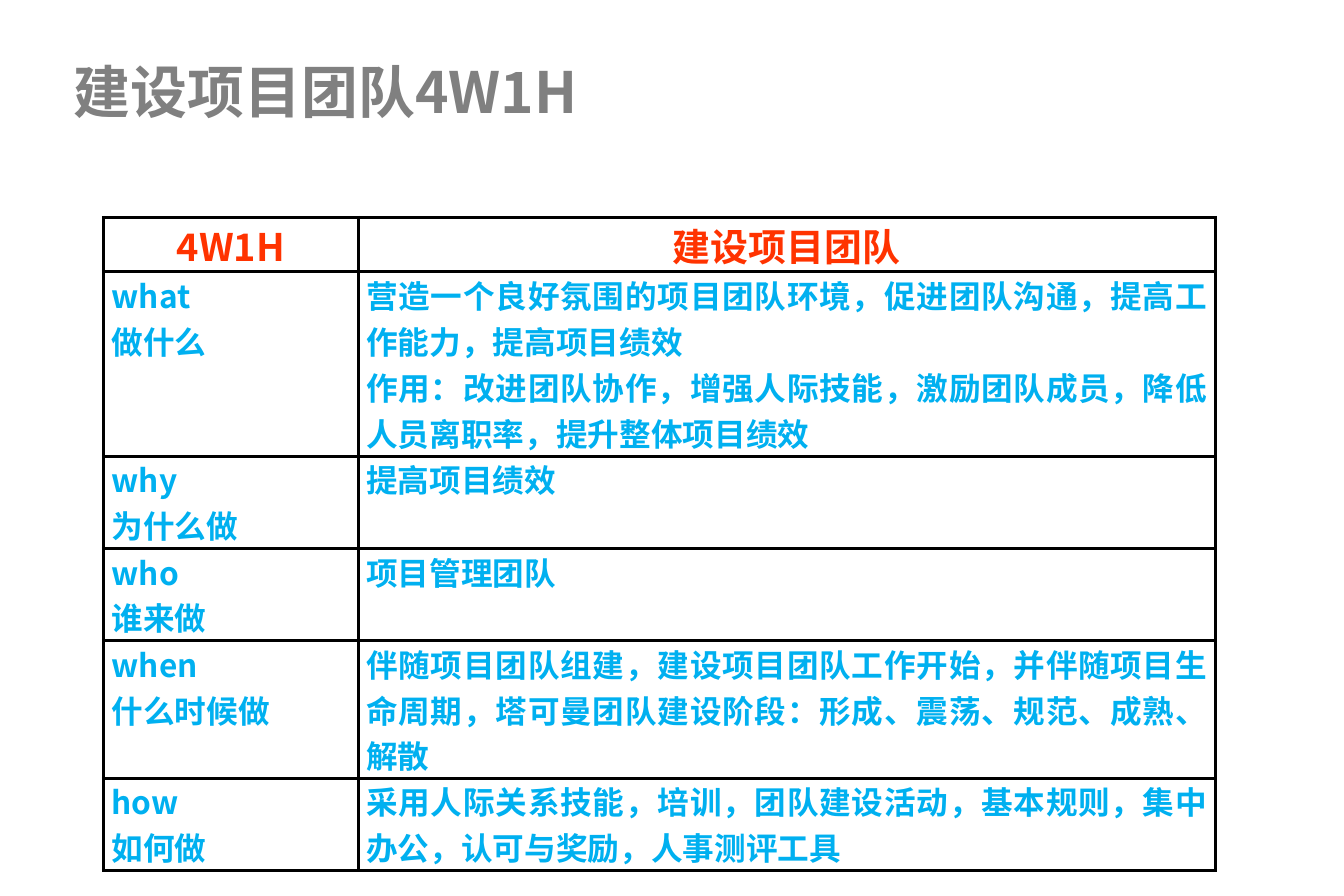
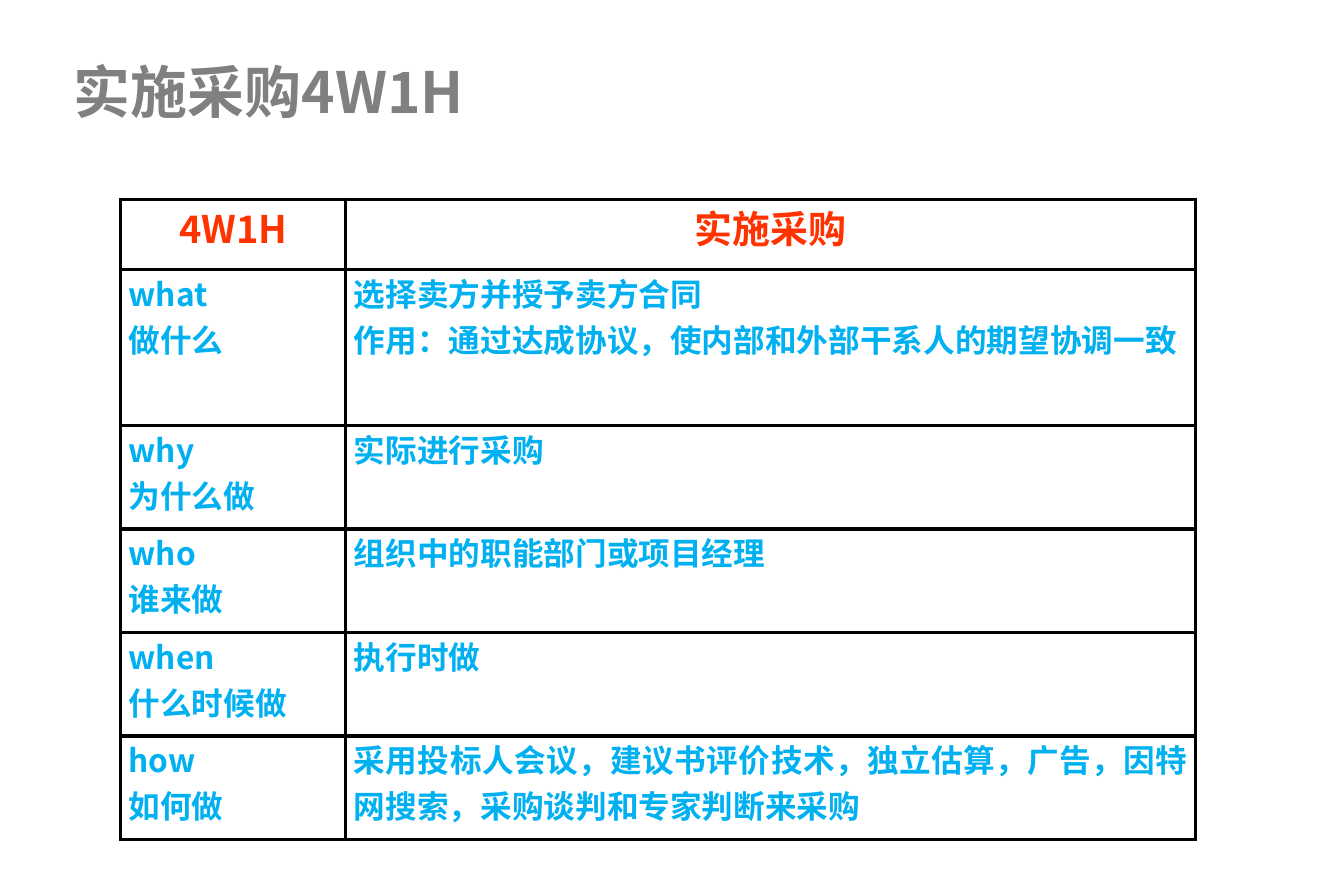
from dataclasses import dataclass

from lxml.etree import SubElement
from pptx import Presentation
from pptx.dml.color import RGBColor
from pptx.enum.text import MSO_ANCHOR, PP_ALIGN
from pptx.oxml import parse_xml
from pptx.oxml.ns import nsdecls, qn
from pptx.util import Inches, Pt


@dataclass(frozen=True)
class Theme:
    font: str = "Noto Sans CJK SC"
    title_color: str = "808080"
    header_color: str = "FF3300"
    body_color: str = "00B0F0"
    cell_fill: str = "FFFFFF"
    border_color: str = "000000"
    title_size: int = 36
    header_size: int = 24
    body_size: int = 20
    border_width: float = 2.25


THEME = Theme()
TITLE_BOX = (0.54, 0.49, 10.63, 0.62)

# Slide format 3:2
SLIDE_HEIGHT = Inches(63 / 8)
SLIDE_WIDTH = SLIDE_HEIGHT * 3 // 2

# Row labels shared by every 4W1H table
QUESTIONS = [
    ("what", "做什么"),
    ("why", "为什么做"),
    ("who", "谁来做"),
    ("when", "什么时候做"),
    ("how", "如何做"),
]

# One entry per slide: topic, table position, grid and the five answers
TOPICS = [
    {
        "topic": "建设项目团队",
        "position": (0.91, 1.91),
        "columns": (2.24, 7.53),
        "rows": (0.48, 1.62, 0.81, 0.81, 1.21, 0.81),
        "answers": [
            ("营造一个良好氛围的项目团队环境，促进团队沟通，提高工作能力，提高项目绩效",
             "作用：改进团队协作，增强人际技能，激励团队成员，降低人员离职率，提升整体项目绩效"),
            ("提高项目绩效",),
            ("项目管理团队",),
            ("伴随项目团队组建，建设项目团队工作开始，并伴随项目生命周期，"
             "塔可曼团队建设阶段：形成、震荡、规范、成熟、解散",),
            ("采用人际关系技能，培训，团队建设活动，基本规则，集中办公，认可与奖励，人事测评工具",),
        ],
    },
    {
        "topic": "实施采购",
        "position": (1.06, 1.75),
        "columns": (1.98, 7.47),
        "rows": (0.62, 1.37, 0.91, 0.91, 0.91, 0.91),
        "answers": [
            ("选择卖方并授予卖方合同",
             "作用：通过达成协议，使内部和外部干系人的期望协调一致"),
            ("实际进行采购",),
            ("组织中的职能部门或项目经理",),
            ("执行时做",),
            ("采用投标人会议，建议书评价技术，独立估算，广告，因特网搜索，"
             "采购谈判和专家判断来采购",),
        ],
    },
]


def write_text(text_frame, lines, size, color, alignment):
    """Fill a text frame with bold paragraphs in the theme font."""
    text_frame.text = "\n".join(lines)
    for paragraph in text_frame.paragraphs:
        paragraph.alignment = alignment
        for run in paragraph.runs:
            font = run.font
            font.size, font.bold, font.name = Pt(size), True, THEME.font
            font.color.rgb = RGBColor.from_string(color)
            SubElement(font._element, qn("a:ea"), typeface=THEME.font)


def add_title(slide, text, box):
    shape = slide.shapes.add_textbox(*map(Inches, box))
    text_frame = shape.text_frame
    text_frame.word_wrap = True
    text_frame.vertical_anchor = MSO_ANCHOR.MIDDLE
    text_frame.margin_left = text_frame.margin_right = Inches(0.11)
    text_frame.margin_top = text_frame.margin_bottom = Inches(0.06)
    write_text(text_frame, [text], THEME.title_size, THEME.title_color, PP_ALIGN.LEFT)


def style_cell(cell):
    """Set margins, fill and the four borders of a table cell."""
    cell.margin_left = cell.margin_right = Inches(0.07)
    cell.margin_top = cell.margin_bottom = 0
    cell.fill.solid()
    cell.fill.fore_color.rgb = RGBColor.from_string(THEME.cell_fill)
    properties = cell._tc.get_or_add_tcPr()
    for index, side in enumerate(("lnL", "lnR", "lnT", "lnB")):
        properties.insert(index, parse_xml(
            f'<a:{side} {nsdecls("a")} w="{Pt(THEME.border_width)}"><a:solidFill>'
            f'<a:srgbClr val="{THEME.border_color}"/></a:solidFill></a:{side}>'))


def add_question_table(slide, topic, position, columns, rows, answers):
    box = (*position, sum(columns), sum(rows))
    table = slide.shapes.add_table(
        len(rows), len(columns), *map(Inches, box)).table
    for column, width in zip(table.columns, columns):
        column.width = Inches(width)
    for row, height in zip(table.rows, rows):
        row.height = Inches(height)

    # Header row first, then one row per question
    contents = [(("4W1H",), (topic,)), *zip(QUESTIONS, answers)]
    for row_index, row_content in enumerate(contents):
        if row_index == 0:
            style = (THEME.header_size, THEME.header_color, PP_ALIGN.CENTER)
        else:
            style = (THEME.body_size, THEME.body_color, PP_ALIGN.JUSTIFY)
        for column_index, lines in enumerate(row_content):
            cell = table.cell(row_index, column_index)
            style_cell(cell)
            write_text(cell.text_frame, lines, *style)


def add_topic_slide(presentation, content):
    slide = presentation.slides.add_slide(presentation.slide_layouts[6])
    add_title(slide, content["topic"] + "4W1H", TITLE_BOX)
    add_question_table(slide, **content)


def main():
    presentation = Presentation()
    presentation.slide_width = SLIDE_WIDTH
    presentation.slide_height = SLIDE_HEIGHT
    # The default file is marked as a 4:3 screen show
    presentation.element.find(qn("p:sldSz")).attrib.pop("type", None)
    for content in TOPICS:
        add_topic_slide(presentation, content)
    presentation.save("out.pptx")


if __name__ == "__main__":
    main()
